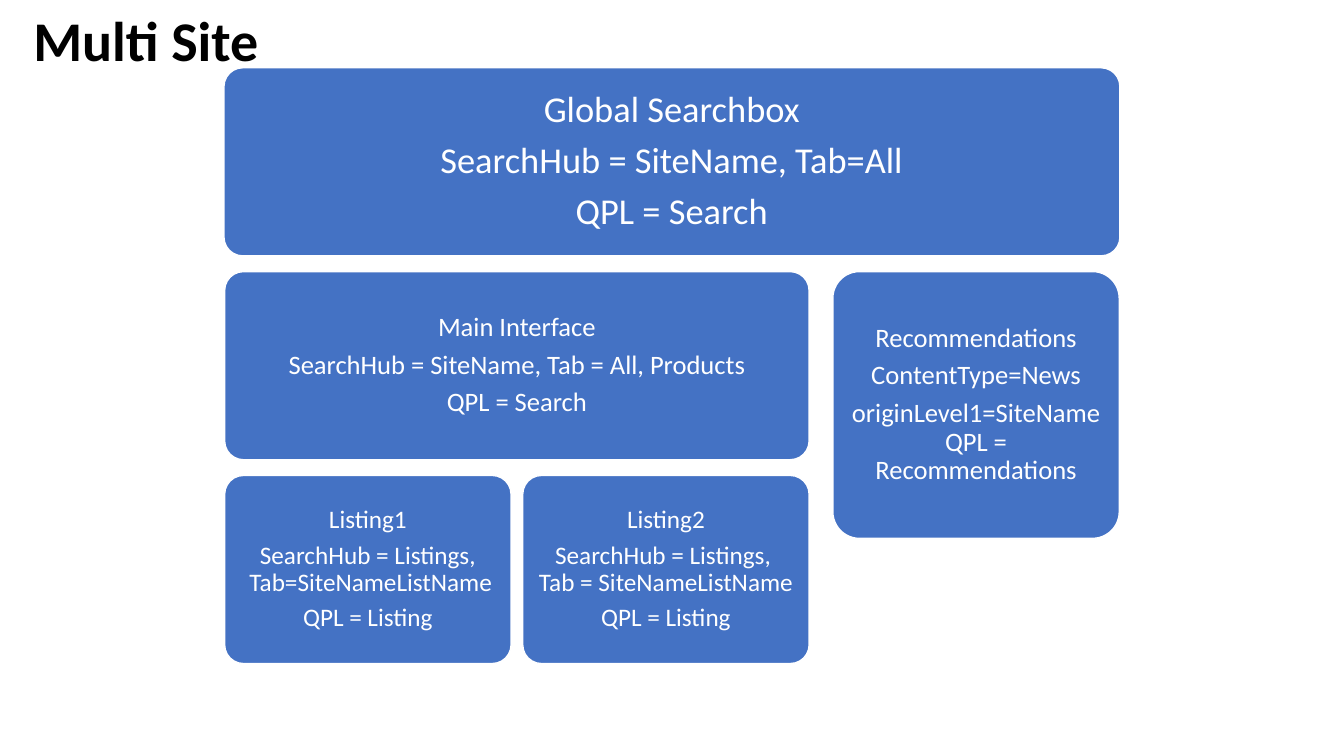
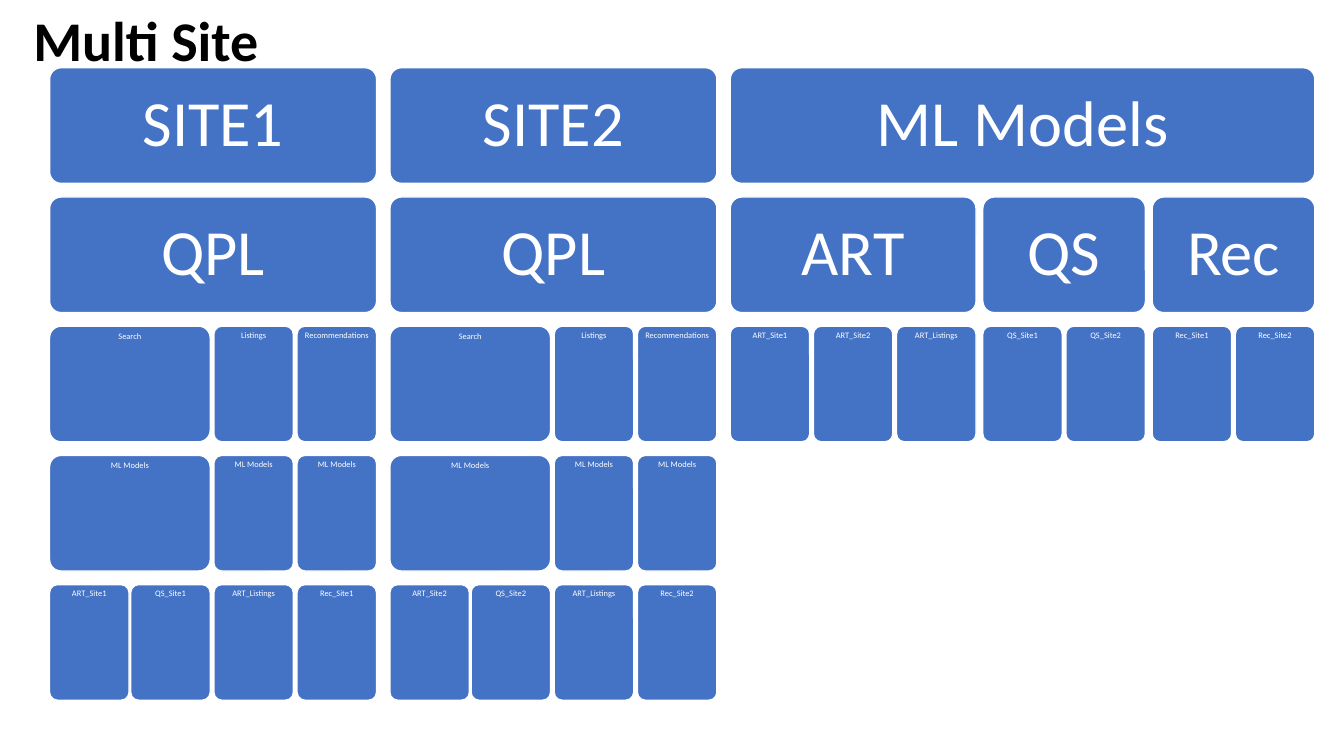
from dataclasses import dataclass
from typing import Iterator

from pptx import Presentation
from pptx import util as u
from pptx.dml import color
from pptx.enum import shapes, text


# Theme: colours, type sizes and line rules
@dataclass(frozen=True)
class Theme:
    font: str = "Calibri"
    fill: str = "4472C4"
    light: str = "FFFFFF"
    dark: str = "000000"
    title: float = 40
    head: float = 46
    large: float = 26
    mid: float = 19
    small: float = 18
    tiny: float = 6
    lead: float = 0.9
    after: float = 0.33
    round: float = 0.1
    edge: float = 1


T = Theme()
MID = text.MSO_ANCHOR.MIDDLE
TOP = text.MSO_ANCHOR.TOP


@dataclass(frozen=True)
class Box:
    left: float
    top: float
    width: float
    height: float
    lines: tuple[str, ...]
    size: float
    inset: float
    anchor: text.MSO_ANCHOR = MID


@dataclass(frozen=True)
class Node:
    name: str
    kids: tuple["Node", ...] = ()
    anchor: text.MSO_ANCHOR = TOP


# Drawing
def add_run(para, words: str, size: float, tint: str, bold: bool = False) -> None:
    run = para.add_run()
    run.text = words
    font = run.font
    font.name, font.size, font.bold = T.font, u.Pt(size), bold
    font.color.rgb = color.RGBColor.from_string(tint)


def add_page(deck, title: str):
    page = deck.slides.add_slide(deck.slide_layouts.get_by_name("Title Only"))
    head = page.shapes.title
    head.left, head.top = u.Pt(16.6), u.Pt(0)
    head.width, head.height = u.Pt(178), u.Pt(55.4)
    frame = head.text_frame
    frame.word_wrap = False
    frame.auto_size = text.MSO_AUTO_SIZE.SHAPE_TO_FIT_TEXT
    frame.vertical_anchor = TOP
    para = frame.paragraphs[0]
    para.alignment = text.PP_ALIGN.LEFT
    add_run(para, title, T.title, T.dark, bold=True)
    return page


def draw_box(page, box: Box) -> None:
    shape = page.shapes.add_shape(
        shapes.MSO_SHAPE.ROUNDED_RECTANGLE,
        u.Pt(box.left), u.Pt(box.top), u.Pt(box.width), u.Pt(box.height))
    shape.adjustments[0] = T.round
    shape.shadow.inherit = False
    shape.fill.solid()
    shape.fill.fore_color.rgb = color.RGBColor.from_string(T.fill)
    shape.line.color.rgb = color.RGBColor.from_string(T.light)
    shape.line.width = u.Pt(T.edge)

    frame = shape.text_frame
    frame.word_wrap = True
    frame.vertical_anchor = box.anchor
    frame.margin_left = frame.margin_right = u.Pt(box.inset)
    frame.margin_top = frame.margin_bottom = u.Pt(box.inset)
    for i, line in enumerate(box.lines):
        para = frame.add_paragraph() if i else frame.paragraphs[0]
        para.alignment = text.PP_ALIGN.CENTER
        para.line_spacing = T.lead
        para.space_after = u.Pt(T.after * box.size)
        for j, part in enumerate(line.split("\n")):
            if j:
                para.add_line_break()
            add_run(para, part, box.size, T.light)


# Tree layout: a parent spans its children, gaps shrink with depth
LEAF = 56.8
GAPS = (9.5, 4.8, 2.6, 1.2, 1.2)
FIRST, STEP, TALL = 48.4, 92.3, 82.6


def span(node: Node, depth: int) -> float:
    if not node.kids:
        return LEAF
    gaps = GAPS[depth + 1] * (len(node.kids) - 1)
    return gaps + sum(span(kid, depth + 1) for kid in node.kids)


def place(nodes: tuple[Node, ...], left: float, depth: int = 0) -> Iterator[Box]:
    for node in nodes:
        width = span(node, depth)
        size, inset = (T.head, 13.8) if depth < 2 else (T.tiny, 1.8)
        yield Box(left, FIRST + depth * STEP, width, TALL, (node.name,),
                  size, inset, node.anchor)
        yield from place(node.kids, left, depth + 1)
        left += width + GAPS[depth]


def group(name: str, *kids: str) -> Node:
    return Node(name, tuple(Node(kid) for kid in kids))


def site(num: int) -> Node:
    uses = (("Search", (f"ART_Site{num}", f"QS_Site{num}")),
            ("Listings", ("ART_Listings",)),
            ("Recommendations", (f"Rec_Site{num}",)))
    pipes = tuple(Node(name, (group("ML Models", *models),)) for name, models in uses)
    return Node(f"SITE{num}", (Node("QPL", pipes),), MID)


# Content
COL1, COL2, COL3 = 160.5, 373.4, 594.9
ROW1, ROW2, ROW3 = 48.4, 194, 339.6
HIGH, SLIM = 134.4, 204.6

SEARCH = (
    Box(COL1 - 0.5, ROW1, 640, HIGH,
        ("Global Searchbox", "SearchHub = SiteName, Tab=All", "QPL = Search"),
        T.large, 7.8),
    Box(COL1, ROW2, COL2 + SLIM - COL1, HIGH,
        ("Main Interface", "SearchHub = SiteName, Tab = All, Products", "QPL = Search"),
        T.mid, 5.7),
    Box(COL1, ROW3, SLIM, HIGH,
        ("Listing1", "SearchHub = Listings,\n Tab=SiteNameListName", "QPL = Listing"),
        T.small, 5.4),
    Box(COL2, ROW3, SLIM, HIGH,
        ("Listing2", "SearchHub = Listings, \nTab = SiteNameListName", "QPL = Listing"),
        T.small, 5.4),
    Box(COL3, ROW2, SLIM, 190.6,
        ("Recommendations", "ContentType=News",
         "originLevel1=SiteName\nQPL = Recommendations"),
        T.mid, 5.7),
)

MODELS = Node("ML Models", (
    group("ART", "ART_Site1", "ART_Site2", "ART_Listings"),
    group("QS", "QS_Site1", "QS_Site2"),
    group("Rec", "Rec_Site1", "Rec_Site2"),
))


# Build
def main() -> None:
    deck = Presentation()
    deck.slide_width, deck.slide_height = u.Pt(960), u.Pt(540)
    for boxes in (SEARCH, place((site(1), site(2), MODELS), 35.4)):
        page = add_page(deck, "Multi Site")
        for box in boxes:
            draw_box(page, box)
    deck.save("out.pptx")


main()
